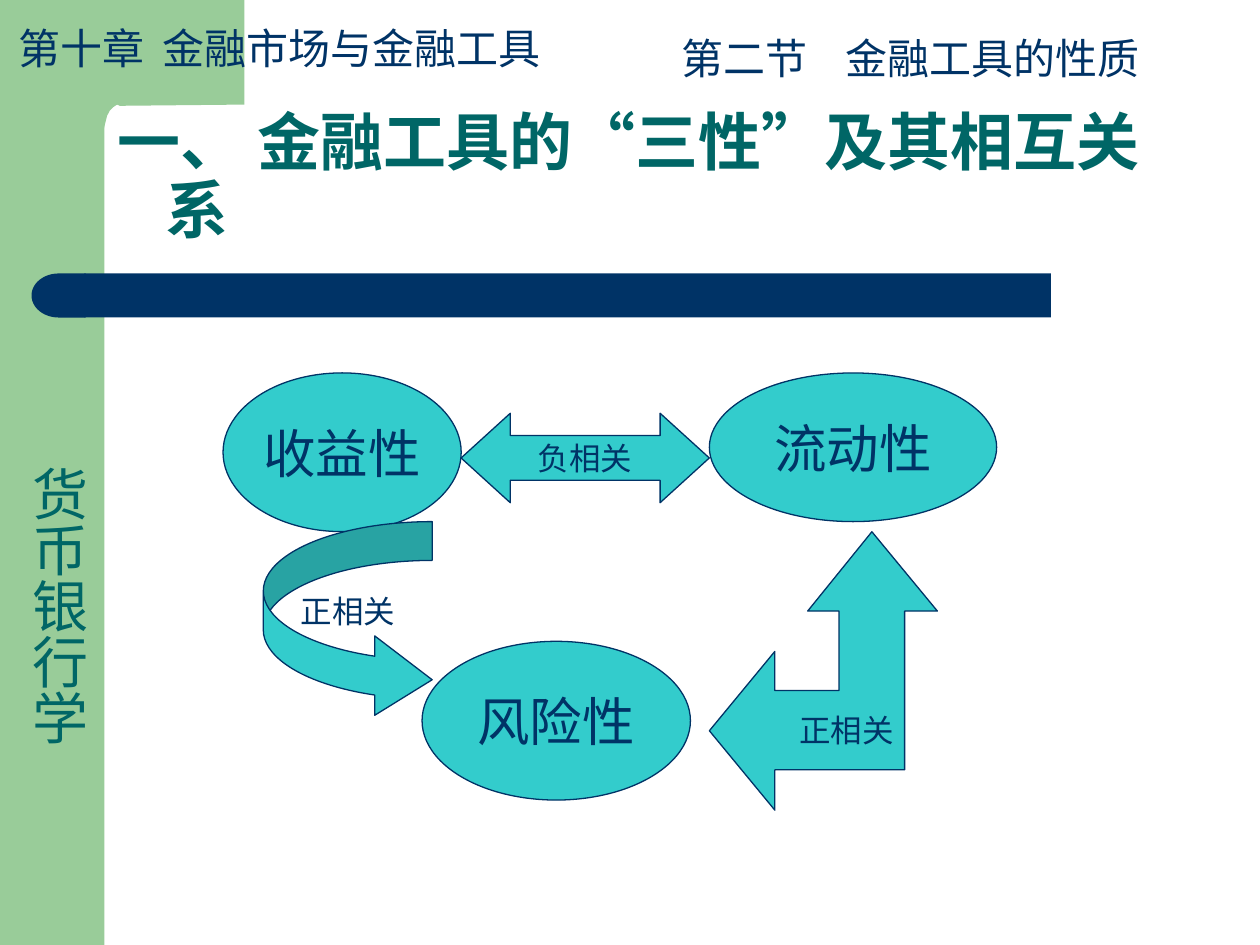
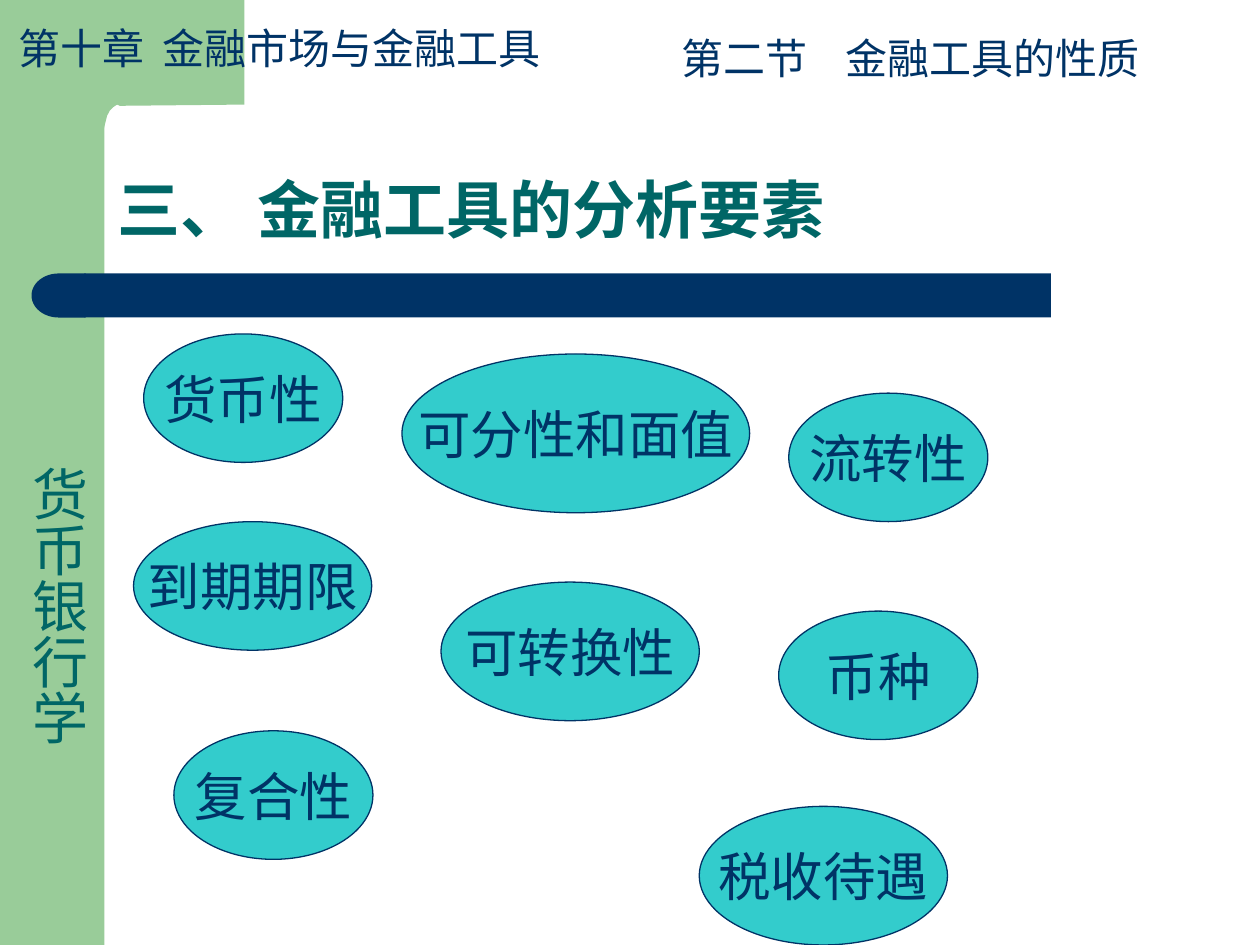
"""Build two slides on the properties and elements of financial instruments."""
from lxml.etree import SubElement
from pptx import Presentation
from pptx.dml.color import RGBColor
from pptx.enum.shapes import MSO_SHAPE
from pptx.enum.text import MSO_ANCHOR, MSO_AUTO_SIZE, PP_ALIGN
from pptx.oxml.ns import qn
from pptx.util import Inches, Pt

GREEN, NAVY, TEAL, TURQUOISE = "99CC99", "003366", "006666", "33CCCC"
FONT = "Arial"
HUNDREDTH = Inches(0.01)


def paint(shape, fill, line=None):
    """Set flat fill and outline from hex strings."""
    shape.shadow.inherit = False
    shape.fill.solid()
    shape.fill.fore_color.rgb = RGBColor.from_string(fill)
    if line:
        shape.line.color.rgb = RGBColor.from_string(line)
        shape.line.width = Pt(0.75)
    else:
        shape.line.fill.background()


def write_text(shape, text, size, color=NAVY, bold=False, align=PP_ALIGN.CENTER,
               anchor=MSO_ANCHOR.MIDDLE, insets=(0.1, 0.05, 0.1, 0.05),
               wrap=False, spacing=None, hanging=0, tab=None):
    """Fill a shape with one formatted paragraph."""
    frame = shape.text_frame
    frame.auto_size = MSO_AUTO_SIZE.NONE
    frame.word_wrap = wrap
    frame.vertical_anchor = anchor
    (frame.margin_left, frame.margin_top,
     frame.margin_right, frame.margin_bottom) = map(Inches, insets)
    paragraph = frame.paragraphs[0]
    paragraph.alignment = align
    if spacing:
        paragraph.line_spacing = spacing
    properties = paragraph._p.get_or_add_pPr()
    if hanging:
        properties.set("marL", str(Inches(hanging)))
        properties.set("indent", str(-Inches(hanging)))
    if tab:
        tab_list = SubElement(properties, qn("a:tabLst"))
        SubElement(tab_list, qn("a:tab"), pos=str(Inches(tab)), algn="l")
    run = paragraph.add_run()
    run.text = text
    run.font.name = FONT
    run.font.size = Pt(size)
    run.font.bold = bold
    run.font.color.rgb = RGBColor.from_string(color)


presentation = Presentation()
presentation.slide_width = Inches(10)
presentation.slide_height = Inches(7.5)
layout = presentation.slide_layouts[5]

slide_contents = [
    ("一、 金融工具的“三性”及其相互关系", [
        ("收益性", 1.77, 2.96, 1.89, 1.26),
        ("流动性", 5.63, 2.96, 2.28, 1.18),
        ("风险性", 3.35, 5.09, 2.13, 1.26),
    ]),
    ("三、 金融工具的分析要素", [
        ("货币性", 1.14, 2.65, 1.58, 1.02),
        ("可分性和面值", 3.19, 2.81, 2.76, 1.26),
        ("流转性", 6.26, 3.12, 1.58, 1.02),
        ("到期期限", 1.06, 4.14, 1.89, 1.02),
        ("可转换性", 3.5, 4.62, 2.05, 1.1),
        ("币种", 6.18, 4.85, 1.58, 1.02),
        ("税收待遇", 5.55, 6.4, 1.97, 1.1),
        ("复合性", 1.38, 5.8, 1.58, 1.02),
    ]),
]
headers = [
    ("第二节\t金融工具的性质", 5.31, 0.21, 4.41, 1.3),
    ("第十章\t金融市场与金融工具", 0.05, 0.13, 5.1, 1.14),
]

for title_text, ellipses in slide_contents:
    slide = presentation.slides.add_slide(layout)

    book_name = slide.shapes.add_textbox(
        Inches(0.02), Inches(0.13), Inches(0.73), Inches(7.37))
    write_text(book_name, "货币银行学", 32, color=TEAL, align=PP_ALIGN.LEFT,
               anchor=MSO_ANCHOR.TOP, insets=(0.05, 3.57, 0.02, 0.1), wrap=True)
    book_name.text_frame._txBody.bodyPr.set("vert", "eaVert")

    for text, left, top, width, tab in headers:
        header = slide.shapes.add_textbox(
            Inches(left), Inches(top), Inches(width), Inches(0.5))
        write_text(header, text, 24, align=PP_ALIGN.LEFT,
                   anchor=MSO_ANCHOR.TOP, wrap=True, tab=tab)

    title = slide.shapes.title
    title.left, title.top = Inches(0.75), Inches(0.84)
    title.width, title.height = Inches(8.67), Inches(1.25)
    write_text(title, title_text, 36, color=TEAL, bold=True, align=PP_ALIGN.LEFT,
               anchor=MSO_ANCHOR.BOTTOM, insets=(0.18, 0.13, 0.18, 0.13),
               wrap=True, spacing=0.9, hanging=0.38)

    for text, left, top, width, height in ellipses:
        ellipse = slide.shapes.add_shape(
            MSO_SHAPE.OVAL, Inches(left), Inches(top), Inches(width), Inches(height))
        paint(ellipse, TURQUOISE, NAVY)
        write_text(ellipse, text, 30)

relation_slide = presentation.slides[0]
shapes = relation_slide.shapes

double_arrow = shapes.add_shape(
    MSO_SHAPE.LEFT_RIGHT_ARROW, Inches(3.66), Inches(3.28), Inches(1.97), Inches(0.71))
double_arrow.adjustments[0] = 0.5
double_arrow.adjustments[1] = 0.55

curved_arrow = shapes.add_shape(
    MSO_SHAPE.CURVED_RIGHT_ARROW, Inches(2.09), Inches(4.14), Inches(1.34), Inches(1.57))
for index, value in enumerate((0.23, 0.47, 0.34)):
    curved_arrow.adjustments[index] = value

corner_builder = shapes.build_freeform(692, 422, scale=HUNDREDTH)
corner_builder.add_line_segments([
    (641, 485), (666, 485), (666, 548), (615, 548), (615, 517), (563, 580),
    (615, 643), (615, 611), (718, 611), (718, 485), (744, 485),
], close=True)
corner_arrow = corner_builder.convert_to_shape()

for arrow, text, insets in [
    (double_arrow, "负相关", (0.1, 0.05, 0.1, 0.05)),
    (curved_arrow, "正相关", (0.1, 0.05, 0.1, 0.2)),
    (corner_arrow, "正相关", (0.63, 1.26, 0.26, 0.32)),
]:
    paint(arrow, TURQUOISE, NAVY)
    write_text(arrow, text, 18, insets=insets)

side_band = shapes.add_shape(MSO_SHAPE.RECTANGLE, 0, 0, Inches(0.83), Inches(7.5))
corner_band_builder = shapes.build_freeform(67, 0, scale=HUNDREDTH)
corner_band_builder.add_line_segments([
    (194, 0), (194, 83), (95, 84), (93, 83), (90, 85), (87, 88),
    (85, 92), (82, 104), (81, 116), (81, 128), (67, 128),
], close=True)
corner_band = corner_band_builder.convert_to_shape()
title_bar = shapes.add_shape(
    MSO_SHAPE.RECTANGLE, Inches(0.67), Inches(2.17), Inches(7.67), Inches(0.35))
bar_end = shapes.add_shape(
    MSO_SHAPE.FLOWCHART_DELAY, Inches(0.25), Inches(2.17), Inches(0.43), Inches(0.35))
bar_end.rotation = 180

for band, color in [(side_band, GREEN), (corner_band, GREEN),
                    (title_bar, NAVY), (bar_end, NAVY)]:
    paint(band, color)
    layout.shapes.element.append(band.element)

presentation.save("out.pptx")
